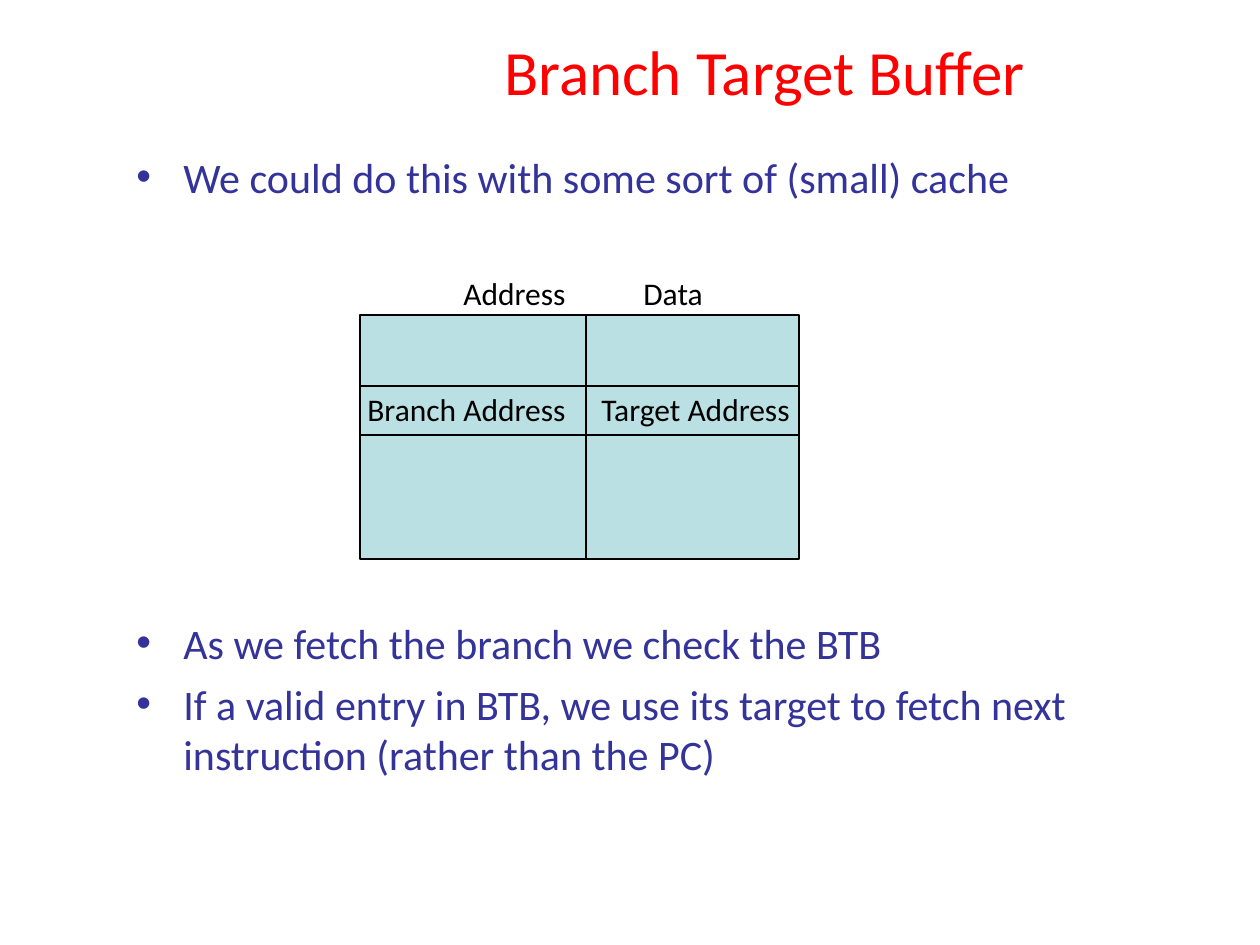
from lxml.etree import SubElement
from pptx import Presentation
from pptx.dml.color import RGBColor
from pptx.enum.shapes import MSO_CONNECTOR, MSO_SHAPE
from pptx.enum.text import MSO_ANCHOR, PP_ALIGN
from pptx.oxml.ns import qn
from pptx.util import Pt

SCALE = 914400 / 126
FONT = "Calibri"
RED = RGBColor(0xFF, 0x00, 0x00)
NAVY = RGBColor(0x33, 0x33, 0x99)
TEAL = RGBColor(0xBB, 0xE0, 0xE3)
BLACK = RGBColor(0x00, 0x00, 0x00)
POINTS = [
    ("We could do this with some sort of (small) cache", 0),
    ("As we fetch the branch we check the BTB", 237.5),
    ("If a valid entry in BTB, we use its target to fetch next "
     "instruction (rather than the PC)", 6),
]


def px(*sizes):
    """Turn px lengths into EMU."""
    return [round(size * SCALE) for size in sizes]


def style(para, size, color):
    """Format every run of a paragraph."""
    for run in para.runs:
        run.font.name = FONT
        run.font.size = Pt(size)
        run.font.color.rgb = color


def add_title(slide, x, y, w, h):
    """Place and format the title."""
    title = slide.shapes.title
    title.left, title.top, title.width, title.height = px(x, y, w, h)
    frame = title.text_frame
    frame.text = "Branch Target Buffer"
    frame.vertical_anchor = MSO_ANCHOR.MIDDLE
    frame.paragraphs[0].alignment = PP_ALIGN.CENTER
    style(frame.paragraphs[0], 36, RED)


def add_list(slide, x, y, w, h):
    """Add the bullet list, with a gap that leaves room for the buffer."""
    frame = slide.shapes.add_textbox(*px(x, y, w, h)).text_frame
    frame.word_wrap = True
    indent, = px(47)
    for i, (text, gap) in enumerate(POINTS):
        para = frame.add_paragraph() if i else frame.paragraphs[0]
        para.text = text
        para.space_before = Pt(gap)
        props = para._p.get_or_add_pPr()
        props.set("marL", str(indent))
        props.set("indent", str(-indent))
        color = SubElement(props, qn("a:buClr"))
        SubElement(color, qn("a:srgbClr"), val=str(NAVY))
        SubElement(props, qn("a:buFont"), typeface="Arial")
        SubElement(props, qn("a:buChar"), char="•")
        style(para, 24, NAVY)


def add_block(slide, x, y, w, h):
    """Add one filled and outlined block of the buffer."""
    block = slide.shapes.add_shape(MSO_SHAPE.RECTANGLE, *px(x, y, w, h))
    block.shadow.inherit = False
    block.fill.solid()
    block.fill.fore_color.rgb = TEAL
    block.line.color.rgb = BLACK
    block.line.width = Pt(0.75)


def add_pair(slide, text, tab, x, y, w, h):
    """Add two labels on one line, the second at a tab stop."""
    frame = slide.shapes.add_textbox(*px(x, y, w, h)).text_frame
    frame.word_wrap = False
    frame.vertical_anchor = MSO_ANCHOR.MIDDLE
    para = frame.paragraphs[0]
    para.text = text
    para.alignment = PP_ALIGN.LEFT
    stops = SubElement(para._p.get_or_add_pPr(), qn("a:tabLst"))
    SubElement(stops, qn("a:tab"), pos=str(px(tab)[0]), algn="l")
    style(para, 18, BLACK)


def add_buffer(slide, x, y, w, h):
    """Draw the buffer with its heading, entry and column line."""
    add_block(slide, x, y, w, h)
    add_pair(slide, "Address\tData", 180, x + 91, y - 47, 265, 49)
    add_block(slide, x, y + 71, w, 49)
    mid = x + 226
    line = slide.shapes.add_connector(
        MSO_CONNECTOR.STRAIGHT, *px(mid, y + 1, mid, y + h))
    line.line.color.rgb = BLACK
    line.line.width = Pt(0.75)
    SubElement(line._element.spPr, qn("a:effectLst"))
    add_pair(slide, "Branch Address\tTarget Address", 234,
             x - 5, y + 69, 452, 50)


def main():
    """Build and save the slide."""
    deck = Presentation()
    deck.slide_width, deck.slide_height = px(1260, 945)
    slide = deck.slides.add_slide(deck.slide_layouts[5])
    add_title(slide, 333, 16, 863, 108)
    add_list(slide, 124, 145, 1073, 736)
    add_buffer(slide, 360, 315, 439, 244)
    deck.save("out.pptx")


if __name__ == "__main__":
    main()
